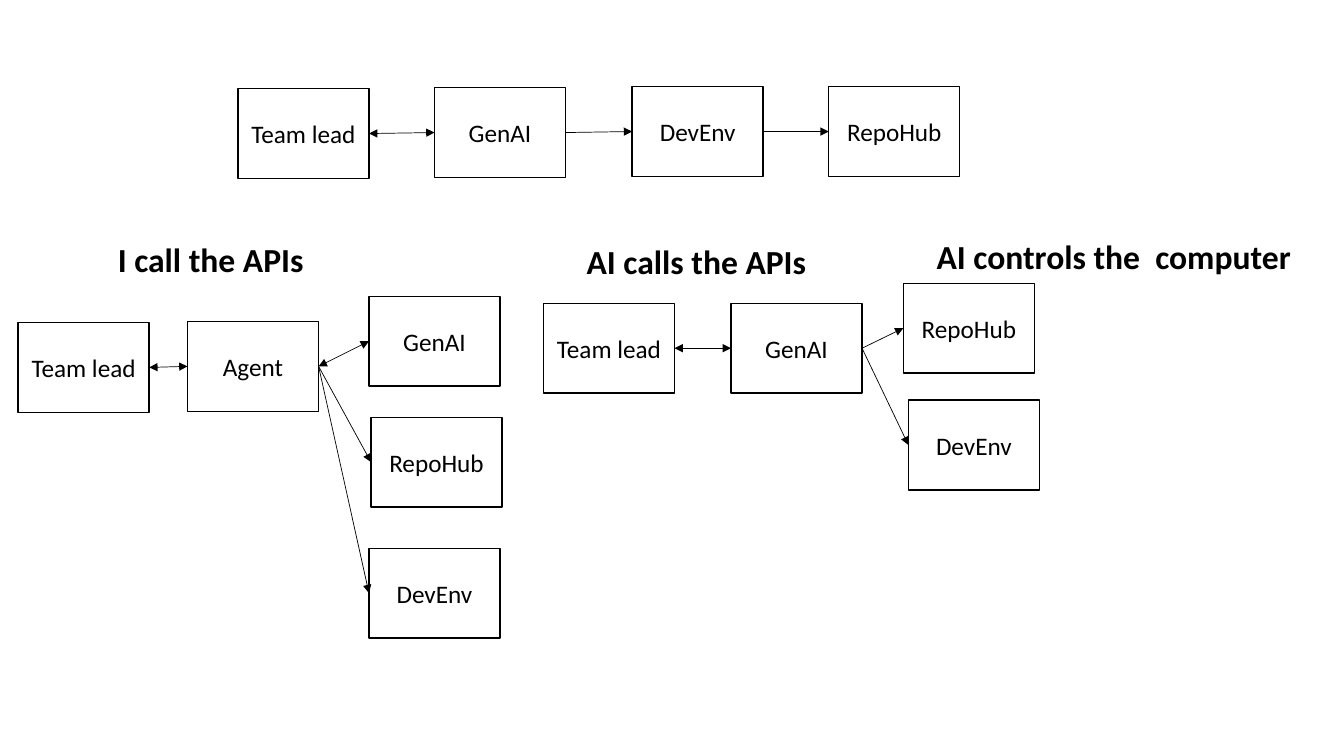
"""Build a slide comparing three ways a team lead can drive AI development tools."""
from lxml import etree
from pptx import Presentation
from pptx.dml.color import RGBColor
from pptx.enum.shapes import MSO_CONNECTOR, MSO_SHAPE
from pptx.enum.text import MSO_ANCHOR, MSO_AUTO_SIZE, PP_ALIGN
from pptx.oxml.ns import qn
from pptx.util import Emu, Pt

STRAIGHT = MSO_CONNECTOR.STRAIGHT
RECTANGLE = MSO_SHAPE.RECTANGLE
MIDDLE = MSO_ANCHOR.MIDDLE
CENTER = PP_ALIGN.CENTER
FIT_SHAPE = MSO_AUTO_SIZE.SHAPE_TO_FIT_TEXT
LEFT_SIDE, RIGHT_SIDE = 1, 3

EMU_PER_PX = 9144
SLIDE_SIZE = (1333, 750)
BOX_SIZE = (130, 89)
HEADING_HEIGHT = 50
FONT = "Calibri"
INK = "000000"

HEADINGS = [
    ("I call the APIs", 107, 232, 206),
    ("AI calls the APIs", 572, 234, 240),
    ("AI controls the  computer", 919, 229, 375),
]

FLOWS = [
    (
        {"Team lead": (236, 88), "GenAI": (431, 87),
         "DevEnv": (627, 86), "RepoHub": (822, 86)},
        [("Team lead", "GenAI", True), ("GenAI", "DevEnv", False),
         ("DevEnv", "RepoHub", False)],
    ),
    (
        {"Team lead": (18, 320), "Agent": (186, 319), "GenAI": (366, 294),
         "RepoHub": (368, 414), "DevEnv": (366, 544)},
        [("Team lead", "Agent", True), ("Agent", "GenAI", True),
         ("Agent", "RepoHub", False), ("Agent", "DevEnv", False)],
    ),
    (
        {"Team lead": (539, 301), "GenAI": (725, 301),
         "RepoHub": (896, 281), "DevEnv": (901, 397)},
        [("Team lead", "GenAI", True), ("GenAI", "RepoHub", False),
         ("GenAI", "DevEnv", False)],
    ),
]


def px(length):
    """Turn a length in px into EMU."""
    return Emu(length * EMU_PER_PX)


def color(hex_value):
    """Turn a hex string into a colour."""
    return RGBColor.from_string(hex_value)


def write(paragraph, text, size, bold=False):
    """Add one formatted run to a paragraph."""
    run = paragraph.add_run()
    run.text = text
    run.font.name = FONT
    run.font.size = Pt(size)
    run.font.bold = bold
    run.font.color.rgb = color(INK)


def add_heading(slide, text, left, top, width):
    """Add the bold heading of one approach."""
    heading = slide.shapes.add_textbox(px(left), px(top), px(width), px(HEADING_HEIGHT))
    heading.text_frame.word_wrap = False
    heading.text_frame.auto_size = FIT_SHAPE
    write(heading.text_frame.paragraphs[0], text, 24, bold=True)


def add_actor(slide, label, left, top):
    """Add an outlined box for a person or a system."""
    actor = slide.shapes.add_shape(RECTANGLE, px(left), px(top), *map(px, BOX_SIZE))
    actor.shadow.inherit = False
    actor.fill.background()
    actor.line.color.rgb = color(INK)
    actor.line.width = Pt(1)
    actor.text_frame.vertical_anchor = MIDDLE
    paragraph = actor.text_frame.paragraphs[0]
    paragraph.alignment = CENTER
    write(paragraph, label, 18)
    return actor


def add_call(slide, caller, target, two_way):
    """Join two actors with an arrow, pointed at both ends if two-way."""
    call = slide.shapes.add_connector(STRAIGHT, 0, 0, 0, 0)
    call.begin_connect(caller, RIGHT_SIDE)
    call.end_connect(target, LEFT_SIDE)
    call.line.color.rgb = color(INK)
    call.line.width = Pt(0.5)
    outline = call.line._get_or_add_ln()
    for end in ("a:headEnd", "a:tailEnd") if two_way else ("a:tailEnd",):
        etree.SubElement(outline, qn(end), type="triangle")
    etree.SubElement(call._element.spPr, qn("a:effectLst"))


def add_flow(slide, positions, calls):
    """Add the actors of one flow and the calls between them."""
    actors = {label: add_actor(slide, label, *corner)
              for label, corner in positions.items()}
    for caller, target, two_way in calls:
        add_call(slide, actors[caller], actors[target], two_way)


def main():
    """Build and save the slide."""
    deck = Presentation()
    deck.slide_width, deck.slide_height = map(px, SLIDE_SIZE)
    slide = deck.slides.add_slide(deck.slide_layouts[6])
    for heading in HEADINGS:
        add_heading(slide, *heading)
    for positions, calls in FLOWS:
        add_flow(slide, positions, calls)
    deck.save("out.pptx")


if __name__ == "__main__":
    main()
